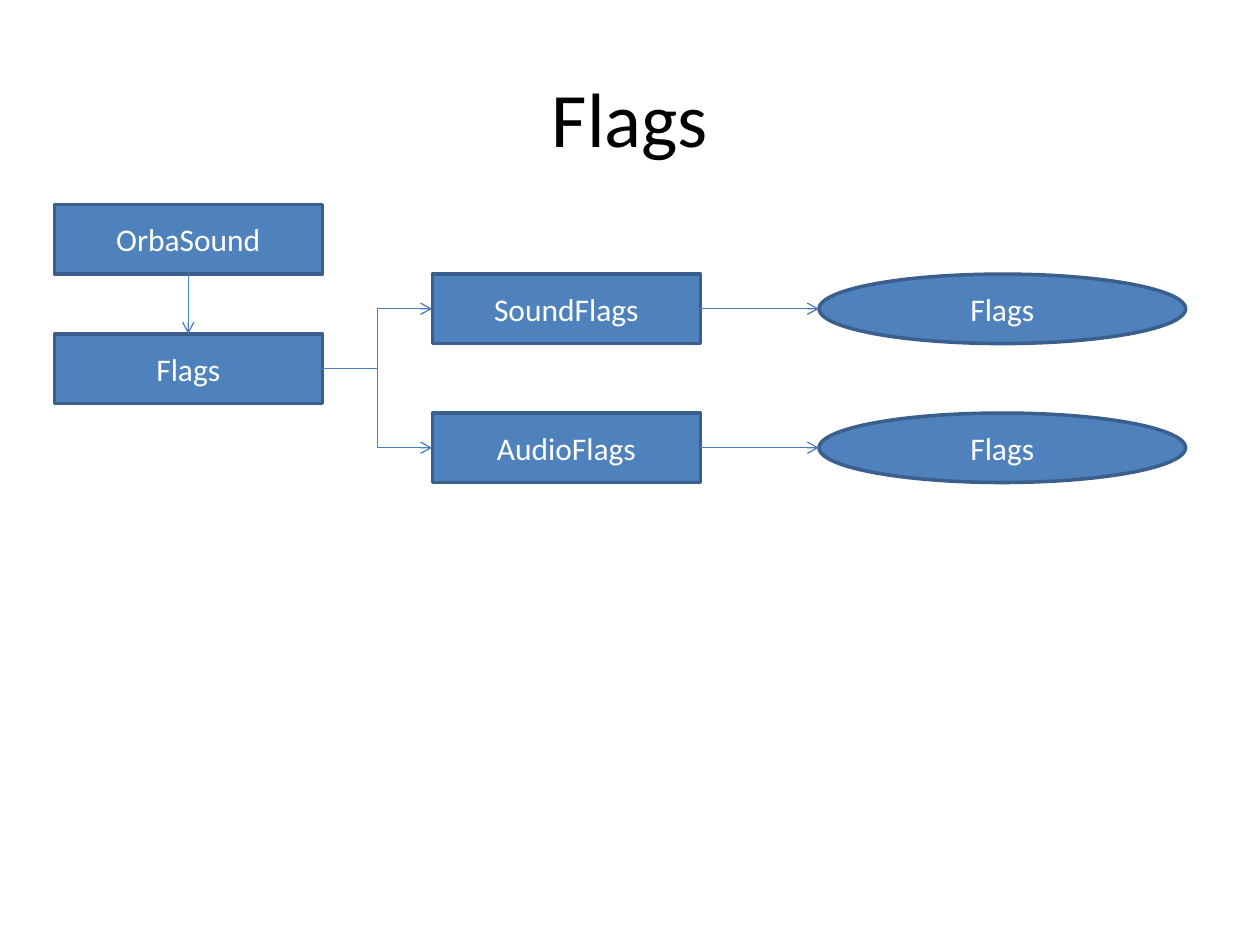
from lxml.etree import SubElement
from pptx import Presentation
from pptx.dml.color import RGBColor
from pptx.enum.shapes import MSO_CONNECTOR, MSO_SHAPE
from pptx.enum.text import MSO_ANCHOR, PP_ALIGN
from pptx.oxml.ns import qn
from pptx.util import Pt

BLACK = RGBColor(0x00, 0x00, 0x00)
WHITE = RGBColor(0xFF, 0xFF, 0xFF)
NODE_FILL = RGBColor(0x4F, 0x81, 0xBD)
NODE_BORDER = RGBColor(0x3A, 0x5F, 0x8C)
ARROW_COLOR = RGBColor(0x4B, 0x7E, 0xBC)

TITLE_FONT = {"name": "Calibri", "size": Pt(44)}
NODE_FONT = {"name": "Calibri", "size": Pt(18)}

ROOT_LEFT, GROUP_LEFT, VALUE_LEFT = 31, 247, 468
BOX_WIDTH, ELLIPSE_WIDTH, NODE_HEIGHT = 153.2, 209.5, 39.7
ROOT_TOP, FLAGS_TOP = 116.9, 190.8
BRANCHES = [("SoundFlags", 156.6), ("AudioFlags", 236)]

# Connection site numbers: an ellipse has eight sites, a rectangle four.
TOP, RECT_LEFT, BOTTOM, RIGHT = 0, 1, 2, 3
ELLIPSE_LEFT = 2


def set_text(shape, text, font_format, color):
    frame = shape.text_frame
    frame.word_wrap = True
    frame.vertical_anchor = MSO_ANCHOR.MIDDLE
    paragraph = frame.paragraphs[0]
    paragraph.alignment = PP_ALIGN.CENTER
    run = paragraph.add_run()
    run.text = text
    for name, value in font_format.items():
        setattr(run.font, name, value)
    run.font.color.rgb = color


def add_title(slide, text):
    title = slide.shapes.title
    box = {"left": 36, "top": 21.6, "width": 648, "height": 90}
    for name, value in box.items():
        setattr(title, name, Pt(value))
    set_text(title, text, TITLE_FONT, BLACK)


def add_node(slide, text, left, top, width=BOX_WIDTH, kind=MSO_SHAPE.RECTANGLE):
    shape = slide.shapes.add_shape(
        kind, Pt(left), Pt(top), Pt(width), Pt(NODE_HEIGHT)
    )
    shape.shadow.inherit = False
    shape.fill.solid()
    shape.fill.fore_color.rgb = NODE_FILL
    shape.line.color.rgb = NODE_BORDER
    shape.line.width = Pt(2)
    set_text(shape, text, NODE_FONT, WHITE)
    return shape


def add_arrow(slide, source, target, start_site, end_site, end,
              kind=MSO_CONNECTOR.STRAIGHT):
    """Glue an arrow to both nodes and place its head at the end point."""
    connector = slide.shapes.add_connector(kind, 0, 0, 0, 0)
    connector.begin_connect(source, start_site)
    connector.end_connect(target, end_site)
    connector.end_x, connector.end_y = end
    connector.line.color.rgb = ARROW_COLOR
    connector.line.width = Pt(0.75)
    line = connector.line._get_or_add_ln()
    SubElement(line, qn("a:tailEnd"), type="arrow")
    SubElement(connector._element.spPr, qn("a:effectLst"))


def left_middle(shape):
    return shape.left, shape.top + shape.height // 2


def add_branch(slide, parent, text, top):
    group = add_node(slide, text, GROUP_LEFT, top)
    value = add_node(
        slide, "Flags", VALUE_LEFT, top, ELLIPSE_WIDTH, MSO_SHAPE.OVAL
    )
    add_arrow(slide, parent, group, RIGHT, RECT_LEFT, left_middle(group),
              MSO_CONNECTOR.ELBOW)
    add_arrow(slide, group, value, RIGHT, ELLIPSE_LEFT, left_middle(value))


def main():
    presentation = Presentation()
    presentation.slide_width, presentation.slide_height = Pt(720), Pt(540)
    title_only = presentation.slide_layouts[5]
    slide = presentation.slides.add_slide(title_only)

    add_title(slide, "Flags")
    root = add_node(slide, "OrbaSound", ROOT_LEFT, ROOT_TOP)
    flags = add_node(slide, "Flags", ROOT_LEFT, FLAGS_TOP)
    flags_top_middle = flags.left + flags.width // 2, flags.top
    add_arrow(slide, root, flags, BOTTOM, TOP, flags_top_middle)
    for text, top in BRANCHES:
        add_branch(slide, flags, text, top)

    presentation.save("out.pptx")


if __name__ == "__main__":
    main()
